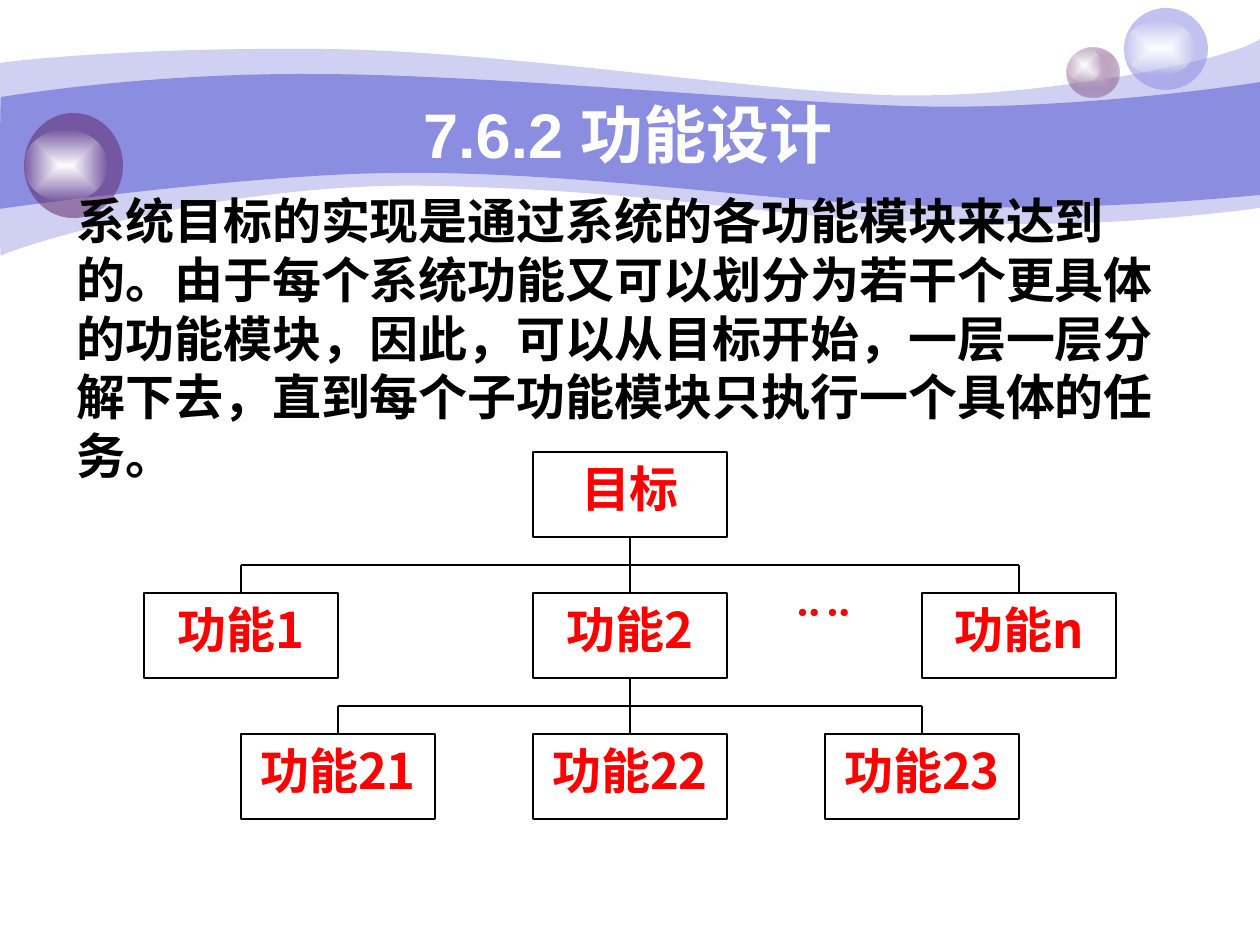
from dataclasses import dataclass

from lxml import etree
from pptx import Presentation
from pptx.dml.color import RGBColor
from pptx.enum.shapes import MSO_CONNECTOR, MSO_SHAPE
from pptx.enum.text import MSO_ANCHOR, PP_ALIGN
from pptx.oxml import parse_xml
from pptx.oxml.ns import nsdecls, qn
from pptx.util import Emu, Pt

RECT, ELLIPSE = MSO_SHAPE.RECTANGLE, MSO_SHAPE.OVAL
STRAIGHT = MSO_CONNECTOR.STRAIGHT
LEFT, CENTER = PP_ALIGN.LEFT, PP_ALIGN.CENTER
TOP, MIDDLE = MSO_ANCHOR.TOP, MSO_ANCHOR.MIDDLE
TOP_SITE, BOTTOM_SITE = 0, 2
EMU_PER_PX = 914400 // 126


@dataclass(frozen=True)
class Theme:
    lilac: str = "8B8DE1"
    plum: str = "632769"
    pale_plum: str = "D7C8D9"
    white: str = "FFFFFF"
    black: str = "000000"
    red: str = "FF0000"
    title_font: str = "Arial"
    body_font: str = "Noto Sans CJK SC"
    title_size: float = 36
    body_size: float = 28
    body_leading: float = 33.5
    line_width: float = 0.75


THEME = Theme()

# Each wave: start point, then curves (6 numbers) and straight edges (2 numbers)
OUTER_WAVE = [
    (0, 63), (30, 59, 135, 48, 311, 49), (486, 49, 725, 88, 881, 95),
    (1036, 101, 1235, 59, 1260, 39), (1260, 208),
    (1081, 231, 992, 223, 888, 221), (784, 218, 649, 190, 432, 186),
    (217, 181, 5, 251, 1, 256), (-1, 262, 0, 95, 0, 63),
]
INNER_WAVE = [
    (1, 97), (3, 97, 139, 73, 312, 74), (486, 74, 750, 101, 905, 106),
    (1060, 111, 1230, 87, 1260, 82), (1260, 195),
    (1075, 212, 964, 208, 859, 203), (755, 199, 563, 171, 399, 173),
    (256, 173, -3, 209, -1, 209), (0, 209, 0, 97, 1, 97),
]

TITLE = "7.6.2 功能设计 "
BODY = ("系统目标的实现是通过系统的各功能模块来达到的。由于每个系统功能又可以划分为"
        "若干个更具体的功能模块，因此，可以从目标开始，一层一层分解下去，"
        "直到每个子功能模块只执行一个具体的任务。")

# Tree grid
BOX_W, BOX_H = 194, 85
TREE_X, TREE_Y, ROW_PITCH = 630, 452, 141
BUS_DROP = (ROW_PITCH - BOX_H) // 2


def px(n):
    return Emu(n * EMU_PER_PX)


def rgb(color):
    return RGBColor.from_string(color)


def set_solid(s, color, alpha=100):
    s.fill.solid()
    s.fill.fore_color.rgb = rgb(color)
    if alpha < 100:
        clr = s.fill._xPr.find(qn("a:solidFill"))[0]
        etree.SubElement(clr, qn("a:alpha"), val=str(alpha * 1000))


def set_glow(s, center, edge, edge_alpha):
    """Gradient from the middle outwards, fading to a see-through edge."""
    fill = parse_xml(
        f'<a:gradFill {nsdecls("a")} rotWithShape="1"><a:gsLst>'
        f'<a:gs pos="0"><a:srgbClr val="{center}"/></a:gs>'
        f'<a:gs pos="100000"><a:srgbClr val="{edge}">'
        f'<a:alpha val="{edge_alpha * 1000}"/></a:srgbClr></a:gs></a:gsLst>'
        '<a:path path="rect"><a:fillToRect l="50000" t="50000" r="50000" b="50000"/>'
        '</a:path></a:gradFill>')
    s._element.spPr.find(qn("a:prstGeom")).addnext(fill)


def add_plain_shape(slide, kind, x, y, w, h):
    s = slide.shapes.add_shape(kind, px(x), px(y), px(w), px(h))
    s.shadow.inherit = False
    s.line.fill.background()
    return s


def bend_edges(s, outline, left, top):
    """Turn the straight edges into Bezier curves where the outline has them."""
    edges = s._element.spPr.findall(".//" + qn("a:lnTo"))
    for edge, part in zip(edges, outline[1:]):
        if len(part) == 6:
            edge.tag = qn("a:cubicBezTo")
            edge.clear()
            for x, y in zip(part[::2], part[1::2]):
                etree.SubElement(edge, qn("a:pt"), x=str(x - left), y=str(y - top))


def add_wave(slide, outline, alpha=100):
    anchors = [part[-2:] for part in outline]
    fb = slide.shapes.build_freeform(*anchors[0], scale=EMU_PER_PX)
    fb.add_line_segments(anchors[1:], close=True)
    s = fb.convert_to_shape()
    bend_edges(s, outline, min(x for x, _ in anchors), min(y for _, y in anchors))
    s.shadow.inherit = False
    s.line.fill.background()
    set_solid(s, THEME.lilac, alpha)


def add_bubble(slide, x, y, w, h, color, shine):
    """A translucent ball with a highlight given as (y, width, height)."""
    ball = add_plain_shape(slide, ELLIPSE, x, y, w, h)
    set_solid(ball, color, 53)
    add_shine(slide, x, *shine)


def add_shine(slide, x, y, w, h):
    set_glow(add_plain_shape(slide, ELLIPSE, x, y, w, h), THEME.white, THEME.white, 0)


def write(s, text, font, size, color, align, anchor, wrap):
    tf = s.text_frame
    tf.text = text
    tf.word_wrap = wrap
    tf.vertical_anchor = anchor
    p = tf.paragraphs[0]
    p.alignment = align
    r = p.runs[0]
    r.font.name, r.font.size, r.font.bold = font, Pt(size), True
    r.font.color.rgb = rgb(color)
    r.font._element.find(qn("a:latin")).addnext(
        parse_xml(f'<a:ea {nsdecls("a")} typeface="{THEME.body_font}"/>'))
    return p


def add_text(slide, x, y, w, h, *style):
    box = slide.shapes.add_textbox(px(x), px(y), px(w), px(h))
    return write(box, *style, True)


def add_node(slide, text, center_x, row, outlined=True):
    s = add_plain_shape(slide, RECT, center_x - BOX_W // 2,
                        TREE_Y + row * ROW_PITCH, BOX_W, BOX_H)
    set_solid(s, THEME.white)
    if outlined:
        s.line.color.rgb = rgb(THEME.black)
        s.line.width = Pt(THEME.line_width)
    write(s, text, THEME.body_font, THEME.body_size, THEME.red, CENTER, TOP, False)
    return s


def add_line(slide, x1, y1, x2, y2, begin=None, end=None):
    c = slide.shapes.add_connector(STRAIGHT, px(x1), px(y1), px(x2), px(y2))
    c.line.color.rgb = rgb(THEME.black)
    c.line.width = Pt(THEME.line_width)
    etree.SubElement(c._element.spPr, qn("a:effectLst"))
    if begin is not None:
        c.begin_connect(begin, BOTTOM_SITE)
    if end is not None:
        c.end_connect(end, TOP_SITE)


def add_branch(slide, parent, row, labels, spread):
    """Three children below the parent, joined by a bus; returns the middle one."""
    centers = [TREE_X - spread, TREE_X, TREE_X + spread]
    nodes = [add_node(slide, text, x, row) for text, x in zip(labels, centers)]
    top = TREE_Y + row * ROW_PITCH
    bus = top - BUS_DROP
    add_line(slide, centers[0], bus, centers[2], bus)
    add_line(slide, TREE_X, top - 2 * BUS_DROP, TREE_X, top, parent, nodes[1])
    for i in (0, 2):
        add_line(slide, centers[i], bus, centers[i], top, end=nodes[i])
    return nodes[1]


def main():
    prs = Presentation()
    prs.slide_width, prs.slide_height = px(1260), px(945)
    slide = prs.slides.add_slide(prs.slide_layouts[6])
    # Banner
    add_wave(slide, OUTER_WAVE, 41)
    add_wave(slide, INNER_WAVE)
    small = add_plain_shape(slide, ELLIPSE, 1067, 48, 53, 50)
    set_glow(small, THEME.pale_plum, THEME.plum, 31)
    add_shine(slide, 1067, 48, 35, 34)
    add_bubble(slide, 1124, 8, 84, 82, THEME.lilac, (21, 71, 54))
    add_bubble(slide, 24, 113, 99, 105, THEME.plum, (130, 83, 71))
    # Title
    add_text(slide, 126, 94, 1018, 78, TITLE, THEME.title_font,
             THEME.title_size, THEME.white, CENTER, MIDDLE)
    # Function tree
    add_node(slide, "¨¨", TREE_X + BOX_W, 1, outlined=False)
    goal = add_node(slide, "目标", TREE_X, 0)
    middle = add_branch(slide, goal, 1, ("功能1", "功能2", "功能n"), 389)
    add_branch(slide, middle, 2, ("功能21", "功能22", "功能23"), 292)
    # Explanation: punctuation stays inside the margin
    p = add_text(slide, 64, 185, 1142, 248, BODY, THEME.body_font,
                 THEME.body_size, THEME.black, LEFT, TOP)
    p.line_spacing = Pt(THEME.body_leading)
    p._p.get_or_add_pPr().set("hangingPunct", "0")
    prs.save("out.pptx")


if __name__ == "__main__":
    main()
